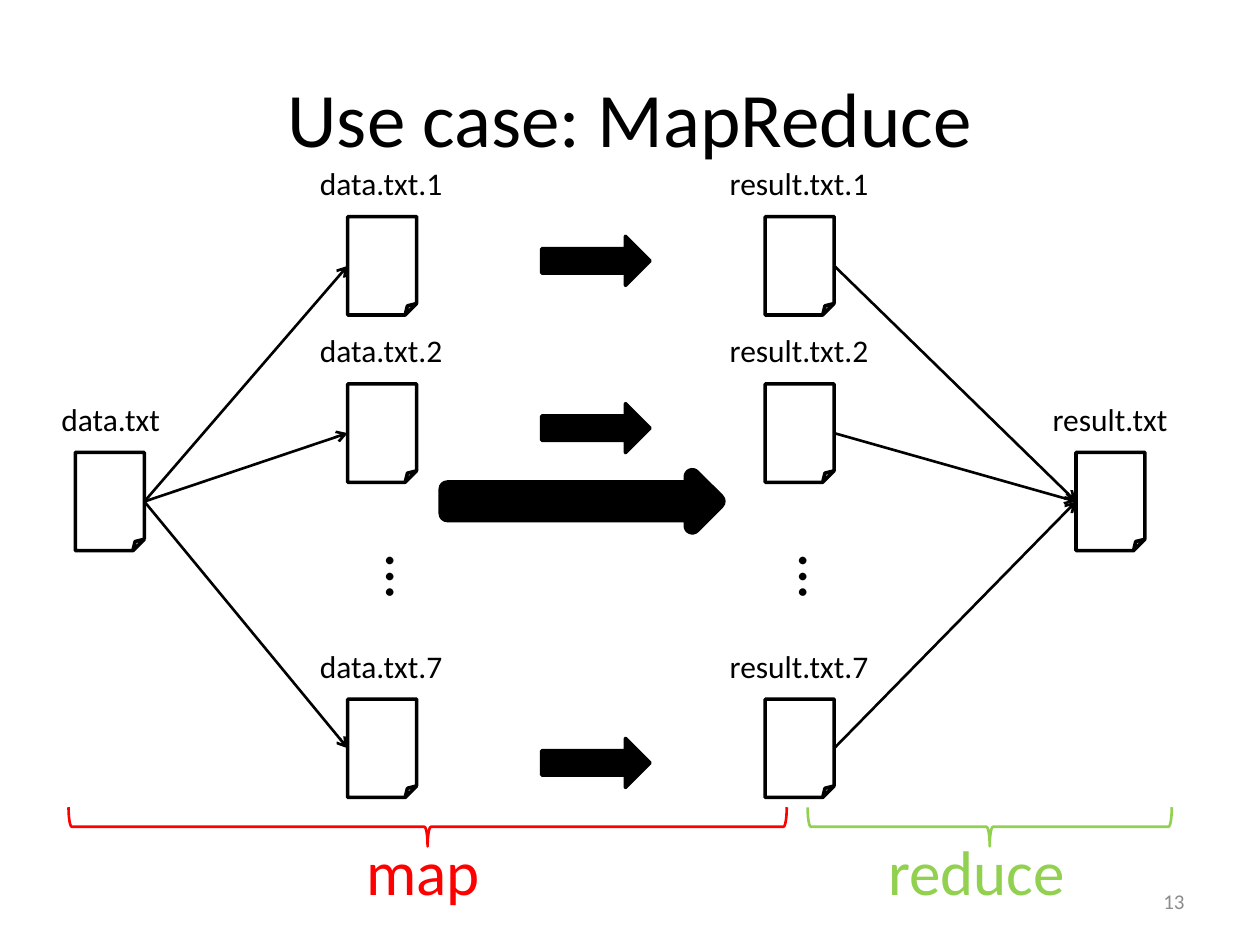
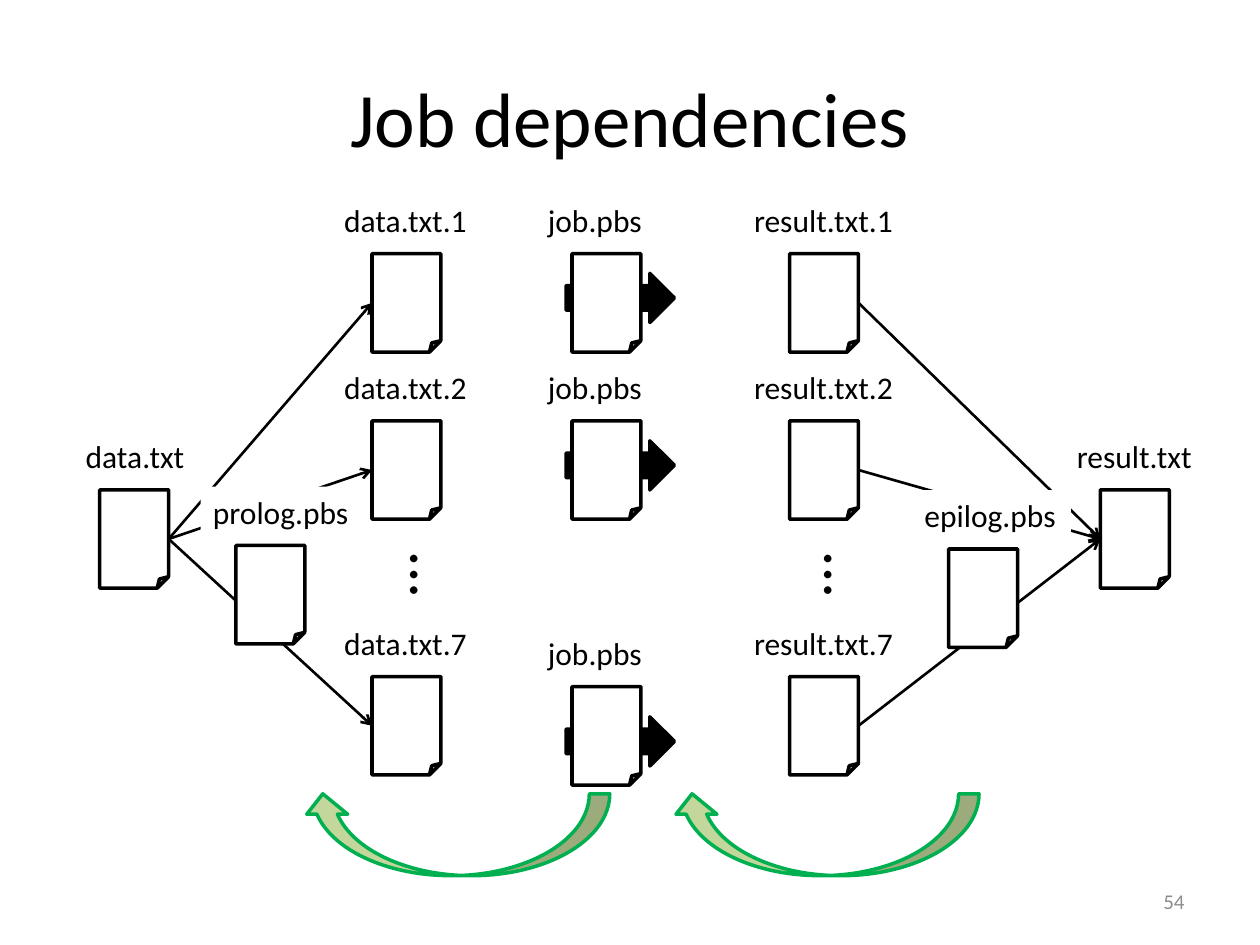
from dataclasses import dataclass

import lxml.etree
import pptx
import pptx.dml.color
import pptx.enum.dml
import pptx.enum.shapes
import pptx.enum.text
import pptx.oxml.ns
import pptx.shapes.autoshape
import pptx.shapes.connector
import pptx.slide
import pptx.util

Pt = pptx.util.Pt
RGBColor = pptx.dml.color.RGBColor
Preset = pptx.enum.shapes.MSO_SHAPE
Align = pptx.enum.text.PP_ALIGN

FONT = "Calibri"
BLACK = RGBColor(0x00, 0x00, 0x00)
WHITE = RGBColor(0xFF, 0xFF, 0xFF)
GRAY = RGBColor(0x8C, 0x8C, 0x8C)
RED = RGBColor(0xFF, 0x00, 0x00)
LIME = RGBColor(0x92, 0xD0, 0x50)
GREEN = RGBColor(0x00, 0xB0, 0x50)
PALE_GREEN = RGBColor(0xC3, 0xD6, 0x9B)

DOCUMENT_WIDTH, DOCUMENT_HEIGHT = 39.4, 56.2
LABEL_RISE = 33.6
ARROW_WIDTH, ARROW_HEIGHT = 61.9, 28.1
BRACE_TOP, BRACE_DEPTH = 461.3, 22.3
LEFT_SITE, RIGHT_SITE = 1, 3
PART_NUMBERS = (1, 2, 7)


@dataclass(frozen=True)
class Box:
    left: float
    top: float
    width: float
    height: float

    def lengths(self) -> tuple[pptx.util.Length, ...]:
        return Pt(self.left), Pt(self.top), Pt(self.width), Pt(self.height)


@dataclass(frozen=True)
class DocumentKind:
    """Column position of a document, and its label's overhang and width."""

    left: float
    overhang: float
    label_width: float


@dataclass(frozen=True)
class Flow:
    """Where the split-and-merge diagram sits on a slide."""

    shift: float
    whole_top: float
    part_tops: tuple[float, ...]
    arrow_tops: tuple[float, ...]
    dots_top: float


@dataclass(frozen=True)
class Stage:
    name: str
    color: RGBColor
    brace_left: float
    brace_width: float
    label_left: float
    label_width: float


DATA = DocumentKind(43.1, 15.1, 71.3)
DATA_PART = DocumentKind(198.7, 23, 85)
RESULT_PART = DocumentKind(437.3, 27.4, 94.3)
RESULT = DocumentKind(614.9, 20.5, 80.6)
JOB = DocumentKind(326.9, 20.9, 68.4)
PROLOG = DocumentKind(134.8, 20.2, 92.9)
EPILOG = DocumentKind(542.1, 20.9, 90.7)

MAP_REDUCE_FLOW = Flow(0, 258.5, (123.8, 219.4, 399.5), (135, 230.6, 421.9), 303.8)
JOB_FLOW = Flow(13.9, 279.9, (145, 240.5, 386.6), (156.2, 251.9, 409.6), 302.4)
JOB_TOPS = (145, 240.5, 392.4)

STAGES = (
    Stage("map", RED, 39.2, 410.4, 202.3, 79.9),
    Stage("reduce", LIME, 461.5, 208.1, 500.4, 115.9),
)


def add_text(
    slide: pptx.slide.Slide,
    box: Box,
    text: str,
    size: float = 18,
    color: RGBColor = BLACK,
    align: Align = Align.LEFT,
    wrap: bool = False,
) -> pptx.shapes.autoshape.Shape:
    """Wrapped text is centred vertically; other text sizes its own box."""
    shape = slide.shapes.add_textbox(*box.lengths())
    frame = shape.text_frame
    frame.word_wrap = wrap
    if wrap:
        frame.vertical_anchor = pptx.enum.text.MSO_ANCHOR.MIDDLE
    else:
        frame.auto_size = pptx.enum.text.MSO_AUTO_SIZE.SHAPE_TO_FIT_TEXT
    paragraph = frame.paragraphs[0]
    paragraph.alignment = align
    run = paragraph.add_run()
    run.text = text
    run.font.name = FONT
    run.font.size = Pt(size)
    run.font.color.rgb = color
    return shape


def add_preset(
    slide: pptx.slide.Slide,
    preset: Preset,
    box: Box,
    fill: RGBColor | None,
    line: RGBColor = BLACK,
    line_width: float = 2,
) -> pptx.shapes.autoshape.Shape:
    shape = slide.shapes.add_shape(preset, *box.lengths())
    shape.shadow.inherit = False
    if fill is None:
        shape.fill.background()
    else:
        shape.fill.solid()
        shape.fill.fore_color.rgb = fill
    shape.line.color.rgb = line
    shape.line.width = Pt(line_width)
    return shape


def add_document(
    slide: pptx.slide.Slide,
    kind: DocumentKind,
    top: float,
    name: str,
    shift: float = 0,
    label_fill: RGBColor | None = None,
) -> pptx.shapes.autoshape.Shape:
    left = kind.left + shift
    document = add_preset(
        slide, Preset.FOLDED_CORNER, Box(left, top, DOCUMENT_WIDTH, DOCUMENT_HEIGHT), WHITE
    )
    label_box = Box(left - kind.overhang, top - LABEL_RISE, kind.label_width, 29.1)
    label = add_text(slide, label_box, name)
    if label_fill is not None:
        label.fill.solid()
        label.fill.fore_color.rgb = label_fill
    return document


def connect(
    slide: pptx.slide.Slide,
    source: pptx.shapes.autoshape.Shape,
    target: pptx.shapes.autoshape.Shape,
) -> pptx.shapes.connector.Connector:
    """Draw an arrow from the right side of source to the left side of target."""
    connector = slide.shapes.add_connector(
        pptx.enum.shapes.MSO_CONNECTOR.STRAIGHT, Pt(0), Pt(0), Pt(0), Pt(0)
    )
    connector.begin_connect(source, RIGHT_SITE)
    connector.end_connect(target, LEFT_SITE)
    connector.line.color.rgb = BLACK
    connector.line.width = Pt(1.5)
    qn = pptx.oxml.ns.qn
    properties = connector.element.spPr
    lxml.etree.SubElement(properties.find(qn("a:ln")), qn("a:tailEnd"), type="arrow")
    lxml.etree.SubElement(properties, qn("a:effectLst"))
    return connector


def add_right_arrow(
    slide: pptx.slide.Slide, left: float, top: float, width: float, line_width: float = 2
) -> None:
    box = Box(left, top, width, ARROW_HEIGHT)
    add_preset(slide, Preset.RIGHT_ARROW, box, BLACK, line_width=line_width)


def add_flow(slide: pptx.slide.Slide, flow: Flow) -> None:
    """Draw data split into parts, each part worked on, and the results merged."""
    data = add_document(slide, DATA, flow.whole_top, "data.txt", flow.shift)
    result = add_document(slide, RESULT, flow.whole_top, "result.txt", flow.shift)
    for number, part_top, arrow_top in zip(PART_NUMBERS, flow.part_tops, flow.arrow_tops):
        data_part = add_document(
            slide, DATA_PART, part_top, f"data.txt.{number}", flow.shift
        )
        result_part = add_document(
            slide, RESULT_PART, part_top, f"result.txt.{number}", flow.shift
        )
        connect(slide, data, data_part)
        connect(slide, result_part, result)
        add_right_arrow(slide, 309.6 + flow.shift, arrow_top, ARROW_WIDTH)
    for dots_left in (190.8, 427.2):
        box = Box(dots_left + flow.shift, flow.dots_top, 39.6, 51)
        add_text(slide, box, "…", 36).rotation = 270


def add_stage(slide: pptx.slide.Slide, stage: Stage) -> None:
    """Draw a brace under a stage, turned so that its point is downward."""
    center = stage.brace_left + stage.brace_width / 2
    middle = BRACE_TOP + BRACE_DEPTH / 2
    box = Box(
        center - BRACE_DEPTH / 2, middle - stage.brace_width / 2, BRACE_DEPTH, stage.brace_width
    )
    brace = add_preset(slide, Preset.LEFT_BRACE, box, None, stage.color, 1.5)
    brace.rotation = 270
    label_box = Box(stage.label_left, 472.3, stage.label_width, 51)
    add_text(slide, label_box, stage.name, 36, stage.color)


def add_return_arrow(slide: pptx.slide.Slide, left: float) -> None:
    """Draw a curved arrow from right to left."""
    arrow = add_preset(
        slide, Preset.CURVED_UP_ARROW, Box(left, 453.6, 175.7, 46.8), PALE_GREEN, GREEN
    )
    arrow.element.spPr.find(pptx.oxml.ns.qn("a:xfrm")).set("flipH", "1")


def add_slide(
    presentation: pptx.presentation.Presentation, title: str, number: int
) -> pptx.slide.Slide:
    slide = presentation.slides.add_slide(presentation.slide_layouts[6])
    add_text(slide, Box(36, 21.6, 648, 90), title, 44, align=Align.CENTER, wrap=True)
    add_text(
        slide, Box(516, 500.5, 168, 28.75), str(number), 12, GRAY, Align.RIGHT, wrap=True
    )
    return slide


def build_map_reduce(presentation: pptx.presentation.Presentation) -> None:
    slide = add_slide(presentation, "Use case: MapReduce", 13)
    add_flow(slide, MAP_REDUCE_FLOW)
    for stage in STAGES:
        add_stage(slide, stage)
    add_right_arrow(slide, 255.6, 272.4, 154.1, line_width=10)


def build_job_dependencies(presentation: pptx.presentation.Presentation) -> None:
    slide = add_slide(presentation, "Job dependencies", 54)
    add_flow(slide, JOB_FLOW)
    add_document(slide, EPILOG, 313.7, "epilog.pbs", label_fill=WHITE)
    add_document(slide, PROLOG, 311.7, "prolog.pbs", label_fill=WHITE)
    for top in JOB_TOPS:
        add_document(slide, JOB, top, "job.pbs", label_fill=WHITE)
    for left in (172.8, 383.8):
        add_return_arrow(slide, left)


def main() -> None:
    presentation = pptx.Presentation()
    presentation.slide_width = Pt(720)
    presentation.slide_height = Pt(540)
    build_map_reduce(presentation)
    build_job_dependencies(presentation)
    presentation.save("out.pptx")


if __name__ == "__main__":
    main()
